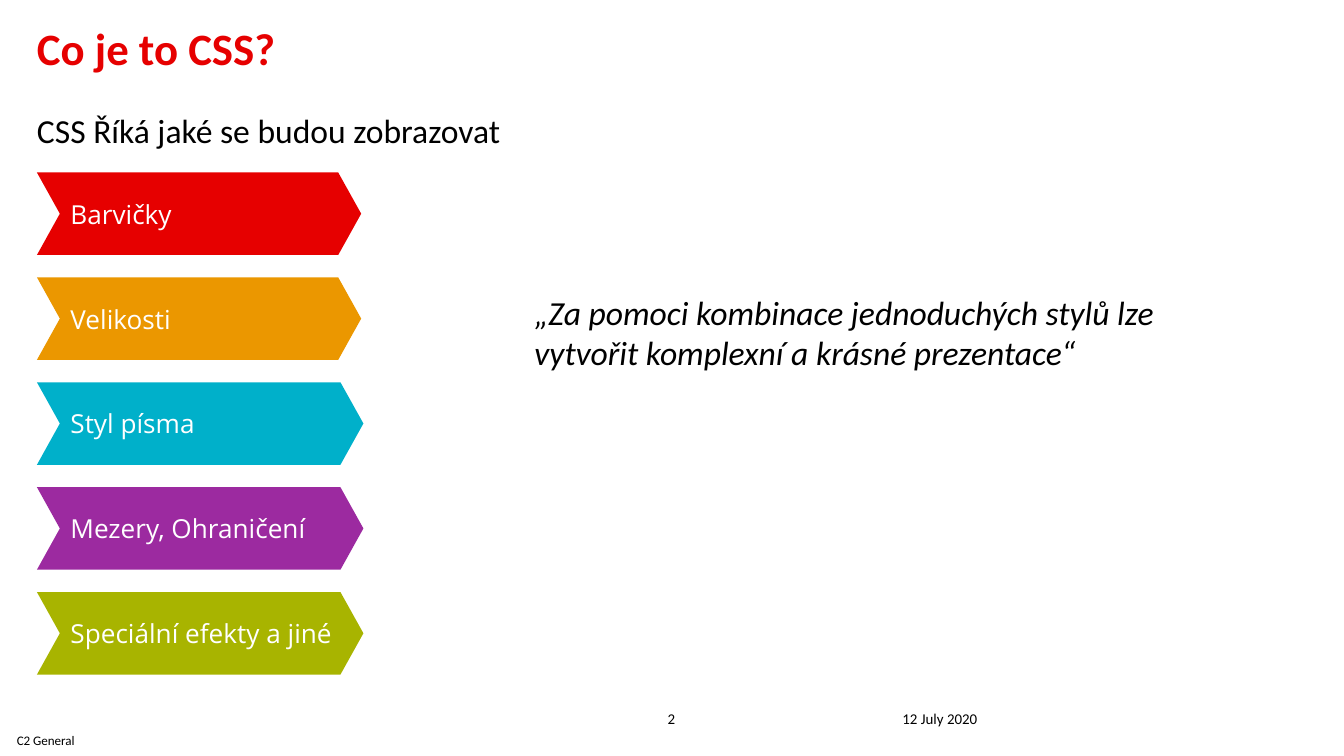
from dataclasses import dataclass

from pptx import Presentation
from pptx.dml.color import RGBColor
from pptx.enum.shapes import MSO_SHAPE
from pptx.enum.text import MSO_ANCHOR, PP_ALIGN
from pptx.util import Pt

CHEVRON = MSO_SHAPE.CHEVRON
TOP, MIDDLE, BOTTOM = MSO_ANCHOR.TOP, MSO_ANCHOR.MIDDLE, MSO_ANCHOR.BOTTOM
LEFT, CENTER = PP_ALIGN.LEFT, PP_ALIGN.CENTER


@dataclass(frozen=True)
class Theme:
    text_font: str = "Calibri"
    label_font: str = "Open Sans"
    red: str = "E60000"
    orange: str = "EB9700"
    blue: str = "00B0CA"
    purple: str = "9C2AA0"
    green: str = "A8B400"
    black: str = "000000"
    white: str = "FFFFFF"
    title: float = 24
    body: float = 18
    label: float = 14
    footer: float = 8
    mark: float = 7


THEME = Theme()


def write(p, text, size=THEME.body, color=THEME.black, font=THEME.text_font,
          bold=False, italic=False, align=LEFT, line=None, before=None):
    p.alignment = align
    if line:
        p.line_spacing = line
    if before:
        p.space_before = Pt(before)
    r = p.add_run()
    r.text = text
    r.font.name = font
    r.font.size = Pt(size)
    r.font.color.rgb = RGBColor.from_string(color)
    r.font.bold = bold
    r.font.italic = italic


def set_frame(tf, margins=(0, 0, 0, 0), anchor=TOP):
    tf.word_wrap = True
    tf.vertical_anchor = anchor
    tf.margin_left, tf.margin_top, tf.margin_right, tf.margin_bottom = map(Pt, margins)


def add_box(s, box, **frame):
    """Add an empty text box and return its text frame."""
    tf = s.shapes.add_textbox(*map(Pt, box)).text_frame
    set_frame(tf, **frame)
    return tf


def add_heading(s, box, title, subtitle):
    tf = add_box(s, box)
    write(tf.paragraphs[0], title, size=THEME.title, color=THEME.red, bold=True, line=0.8)
    write(tf.add_paragraph(), subtitle, line=0.8, before=23.4)


def add_chevrons(s, box, items, gap=12):
    """Stack equal chevrons down the box; each item is label, colour, extra width."""
    x, y, w, h = box
    step = (h + gap) / len(items)
    for i, (label, color, extra) in enumerate(items):
        sp = s.shapes.add_shape(CHEVRON, Pt(x), Pt(y + i * step), Pt(w + extra), Pt(step - gap))
        sp.adjustments[0] = 0.278
        sp.shadow.inherit = False
        sp.fill.solid()
        sp.fill.fore_color.rgb = RGBColor.from_string(color)
        sp.line.fill.background()
        set_frame(sp.text_frame, margins=(5.67, 2.83, 2.83, 2.83), anchor=MIDDLE)
        write(sp.text_frame.paragraphs[0], label, size=THEME.label,
              color=THEME.white, font=THEME.label_font)


def add_quote(s, box, text):
    tf = add_box(s, box, margins=(7.2, 3.6, 7.2, 3.6))
    write(tf.paragraphs[0], text, italic=True)


def add_footer(s, box, number, date, mark):
    x, y, w, h = box
    parts = [
        ((x + 343.5, y, 32.4, 18.7), number, THEME.footer, CENTER, BOTTOM),
        ((x + 483.4, y, 167.8, 18.7), date, THEME.footer, LEFT, BOTTOM),
        ((x, y + h - 16.8, 49, 16.8), mark, THEME.mark, CENTER, MIDDLE),
    ]
    for part, text, size, align, anchor in parts:
        tf = add_box(s, part, anchor=anchor)
        write(tf.paragraphs[0], text, size=size, align=align)


def main():
    prs = Presentation()
    prs.slide_width, prs.slide_height = Pt(720), Pt(405)
    s = prs.slides.add_slide(prs.slide_layouts[6])
    add_heading(s, (19.8, 16.5, 680, 52.6), "Co je to CSS?", "CSS Říká jaké se budou zobrazovat")
    add_chevrons(s, (19.8, 92.4, 173.7, 269), [
        ("Barvičky", THEME.red, 0),
        ("Velikosti", THEME.orange, 0),
        ("Styl písma", THEME.blue, 1.2),
        ("Mezery, Ohraničení", THEME.purple, 1.2),
        ("Speciální efekty a jiné", THEME.green, 1.2),
    ])
    add_quote(s, (279.2, 152.8, 360, 51),
              "„Za pomoci kombinace jednoduchých stylů lze vytvořit komplexní a krásné prezentace“")
    add_footer(s, (0, 371, 720, 34), "2", "12 July 2020", "C2 General")
    prs.save("out.pptx")


if __name__ == "__main__":
    main()
